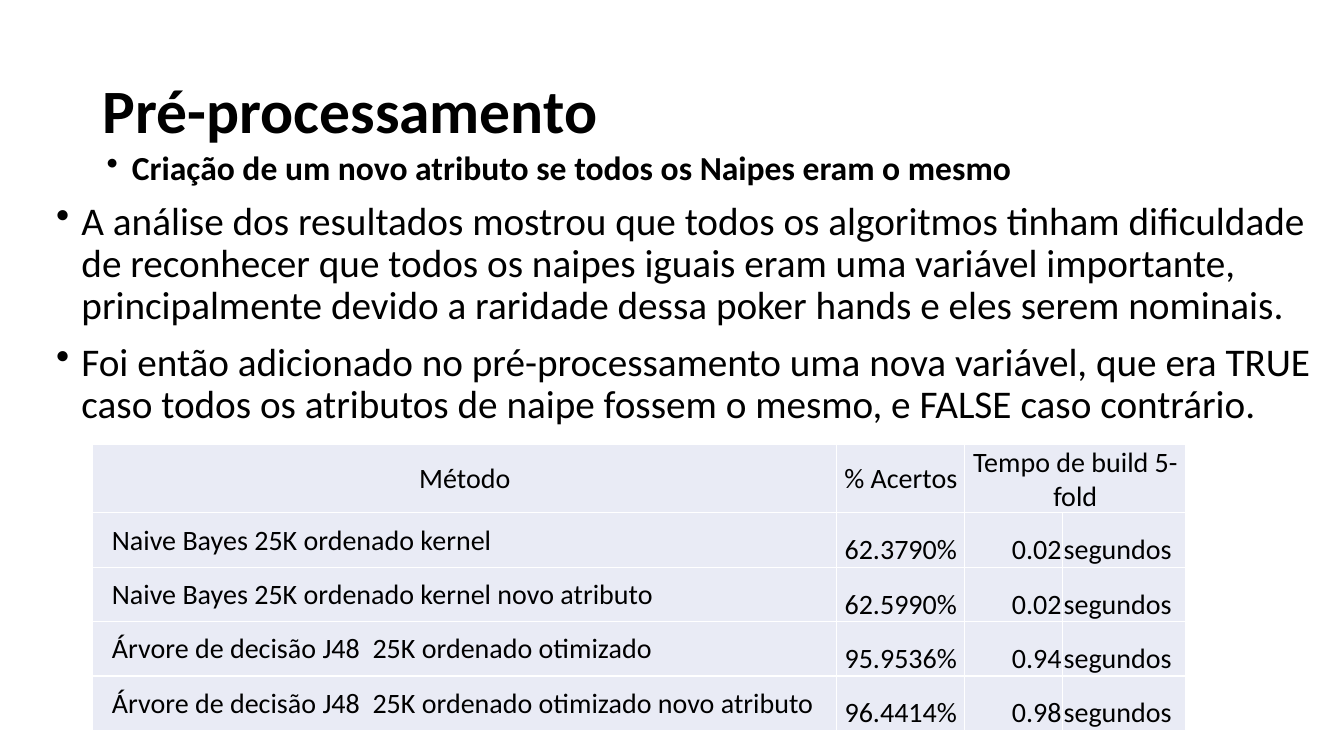
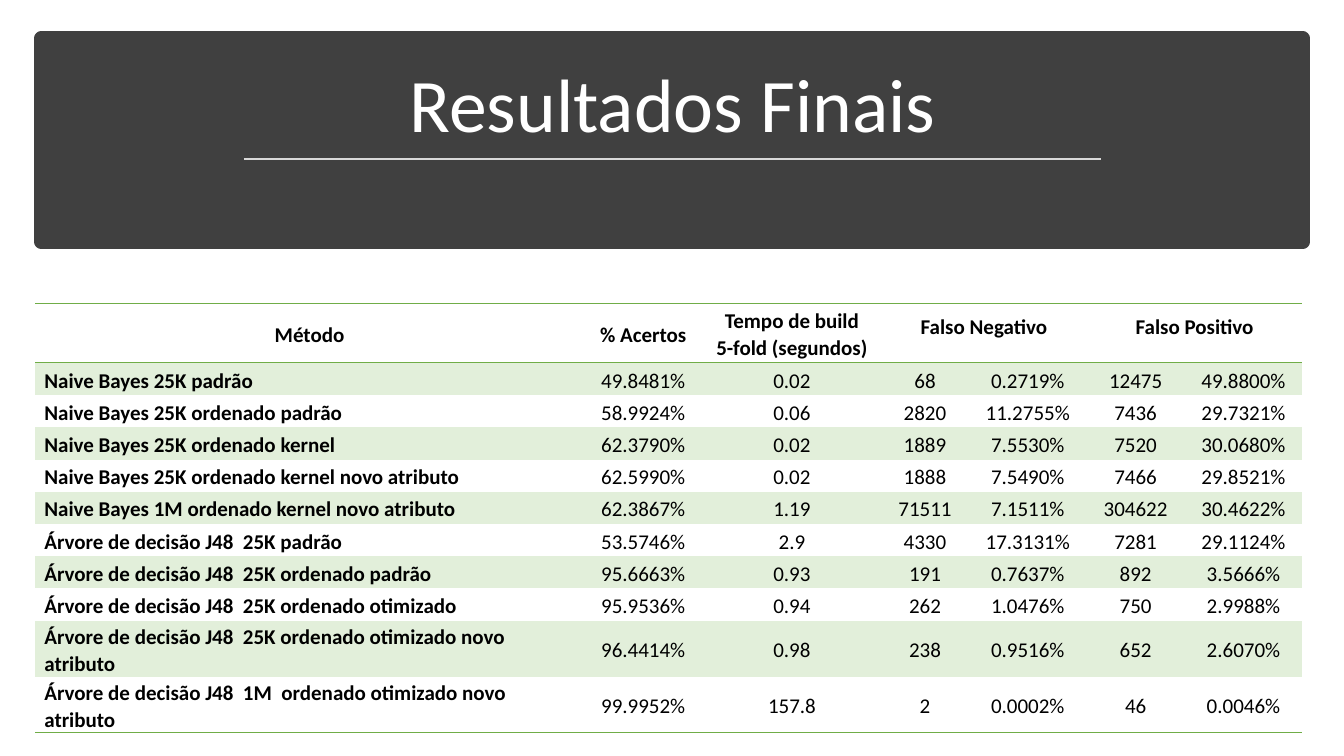
from lxml import etree
from pptx import Presentation
from pptx.dml.color import RGBColor
from pptx.enum.shapes import MSO_CONNECTOR, MSO_SHAPE
from pptx.enum.text import MSO_ANCHOR, PP_ALIGN
from pptx.oxml.ns import qn
from pptx.util import Inches, Pt

LEFT, CENTER, RIGHT = PP_ALIGN.LEFT, PP_ALIGN.CENTER, PP_ALIGN.RIGHT
TOP, MIDDLE, BOTTOM = MSO_ANCHOR.TOP, MSO_ANCHOR.MIDDLE, MSO_ANCHOR.BOTTOM
FONT = "Calibri"
BLACK, WHITE, CHARCOAL, SILVER = "000000", "FFFFFF", "404040", "D9D9D9"
LAVENDER, GREEN, PALE_GREEN = "E9EBF5", "70AD47", "E2EFDA"

PREPROCESSING_TITLE = "Pré-processamento"
BODY = [
    (1, 24, "Criação de um novo atributo se todos os Naipes eram o mesmo"),
    (0, 28, "A análise dos resultados mostrou que todos os algoritmos tinham "
            "dificuldade de reconhecer que todos os naipes iguais eram uma variável "
            "importante, principalmente devido a raridade dessa poker hands e eles "
            "serem nominais."),
    (0, 28, "Foi então adicionado no pré-processamento uma nova variável, que era "
            "TRUE caso todos os atributos de naipe fossem o mesmo, e FALSE caso "
            "contrário."),
]
COMPARISON_WIDTHS = [7.38, 1.27, 0.97, 1.22]
COMPARISON = [
    ("Método", "% Acertos", "Tempo de build 5-fold", ""),
    ("Naive Bayes 25K ordenado kernel", "62.3790%", "0.02", "segundos"),
    ("Naive Bayes 25K ordenado kernel novo atributo", "62.5990%", "0.02", "segundos"),
    ("Árvore de decisão J48  25K ordenado otimizado", "95.9536%", "0.94", "segundos"),
    ("Árvore de decisão J48  25K ordenado otimizado novo atributo", "96.4414%", "0.98",
     "segundos"),
]

RESULTS_TITLE = "Resultados Finais"
RESULTS_WIDTHS = [5.44, 1.18, 1.77, 0.87, 1.17, 0.97, 1.17]
RESULTS = [
    ("Método", "% Acertos", "Tempo de build\n5-fold (segundos)",
     "Falso Negativo", "", "Falso Positivo", ""),
    ("Naive Bayes 25K padrão",
     "49.8481%", "0.02", "68", "0.2719%", "12475", "49.8800%"),
    ("Naive Bayes 25K ordenado padrão",
     "58.9924%", "0.06", "2820", "11.2755%", "7436", "29.7321%"),
    ("Naive Bayes 25K ordenado kernel",
     "62.3790%", "0.02", "1889", "7.5530%", "7520", "30.0680%"),
    ("Naive Bayes 25K ordenado kernel novo atributo",
     "62.5990%", "0.02", "1888", "7.5490%", "7466", "29.8521%"),
    ("Naive Bayes 1M ordenado kernel novo atributo",
     "62.3867%", "1.19", "71511", "7.1511%", "304622", "30.4622%"),
    ("Árvore de decisão J48  25K padrão",
     "53.5746%", "2.9", "4330", "17.3131%", "7281", "29.1124%"),
    ("Árvore de decisão J48  25K ordenado padrão",
     "95.6663%", "0.93", "191", "0.7637%", "892", "3.5666%"),
    ("Árvore de decisão J48  25K ordenado otimizado",
     "95.9536%", "0.94", "262", "1.0476%", "750", "2.9988%"),
    ("Árvore de decisão J48  25K ordenado otimizado novo atributo",
     "96.4414%", "0.98", "238", "0.9516%", "652", "2.6070%"),
    ("Árvore de decisão J48  1M  ordenado otimizado novo atributo",
     "99.9952%", "157.8", "2", "0.0002%", "46", "0.0046%"),
]


def rgb(color):
    return RGBColor.from_string(color)


def format_paragraph(paragraph, size, color=BLACK, bold=False, align=LEFT, spacing=0.9):
    paragraph.alignment = align
    paragraph.line_spacing = spacing
    paragraph.font.name = FONT
    paragraph.font.size = Pt(size)
    paragraph.font.bold = bold
    paragraph.font.color.rgb = rgb(color)


def add_text_frame(slide, left, top, width, height, anchor=TOP):
    shape = slide.shapes.add_textbox(
        Inches(left), Inches(top), Inches(width), Inches(height))
    frame = shape.text_frame
    frame.word_wrap = True
    frame.vertical_anchor = anchor
    return frame


def add_title(slide, text, box, anchor, size, **style):
    frame = add_text_frame(slide, *box, anchor)
    frame.text = text
    format_paragraph(frame.paragraphs[0], size, **style)


def add_bullet(paragraph, level):
    properties = paragraph._p.get_or_add_pPr()
    properties.set("marL", str(Inches(0.25 + 0.5 * level)))
    properties.set("indent", str(Inches(-0.25)))
    etree.SubElement(properties, qn("a:buChar")).set("char", "•")


def set_borders(cell, colors):
    properties = cell._tc.get_or_add_tcPr()
    for index, side in enumerate("LRTB"):
        line = etree.Element(qn("a:ln" + side), w=str(Pt(1)))
        if side in colors:
            fill = etree.SubElement(line, qn("a:solidFill"))
            etree.SubElement(fill, qn("a:srgbClr")).set("val", colors[side])
        else:
            etree.SubElement(line, qn("a:noFill"))
        properties.insert(index, line)


def add_table(slide, rows, left, top, widths, heights, merges):
    table = slide.shapes.add_table(
        len(rows), len(widths), Inches(left), Inches(top),
        Inches(sum(widths)), Inches(sum(heights))).table
    table.first_row = table.horz_banding = False
    for column, width in zip(table.columns, widths):
        column.width = Inches(width)
    for row, height in zip(table.rows, heights):
        row.height = Inches(height)
    for first in merges:
        table.cell(0, first).merge(table.cell(0, first + 1))
    return table


def fill_cell(cell, text, size, margins, anchor, fill, borders, **style):
    set_borders(cell, borders)
    if fill:
        cell.fill.solid()
        cell.fill.fore_color.rgb = rgb(fill)
    else:
        cell.fill.background()
    cell.margin_left, cell.margin_top, cell.margin_right, cell.margin_bottom = map(
        Inches, margins)
    cell.vertical_anchor = anchor
    cell.text_frame.text = text
    for paragraph in cell.text_frame.paragraphs:
        format_paragraph(paragraph, size, **style)


def build_preprocessing(slide):
    add_title(slide, PREPROCESSING_TITLE, (0.92, 0.4, 11.5, 1.45), MIDDLE, 44, bold=True)

    frame = add_text_frame(slide, 0.46, 1.45, 12.66, 5.65)
    for index, (level, size, text) in enumerate(BODY):
        paragraph = frame.add_paragraph() if index else frame.paragraphs[0]
        paragraph.text = text
        paragraph.level = level
        paragraph.space_before = Pt(5 if level else 10)
        add_bullet(paragraph, level)
        format_paragraph(paragraph, size, bold=level == 1)

    table = add_table(slide, COMPARISON, 0.92, 4.41, COMPARISON_WIDTHS,
                      [0.54] * len(COMPARISON), [2])
    aligns = [LEFT, CENTER, RIGHT, LEFT]
    for row, values in enumerate(COMPARISON):
        for column, text in enumerate(values):
            header, name = row == 0, column == 0
            fill_cell(table.cell(row, column), text, 20,
                      (0.19 if name and not header else 0.01, 0.01, 0.01, 0),
                      MIDDLE if header or name else BOTTOM, LAVENDER,
                      dict.fromkeys("LRTB", WHITE),
                      align=CENTER if header else aligns[column], spacing=1.0)


def build_results(slide):
    band = slide.shapes.add_shape(
        MSO_SHAPE.RECTANGLE, Inches(0.41), Inches(0.38), Inches(12.51), Inches(2.02))
    band.shadow.inherit = False
    band.fill.solid()
    band.fill.fore_color.rgb = rgb(CHARCOAL)
    band.line.color.rgb = rgb(CHARCOAL)
    band.line.width = Pt(10)

    add_title(slide, RESULTS_TITLE, (0.58, 0.51, 12.18, 1.02), BOTTOM, 54,
              color=WHITE, align=CENTER)

    rule = slide.shapes.add_connector(
        MSO_CONNECTOR.STRAIGHT, Inches(2.42), Inches(1.58), Inches(10.92), Inches(1.58))
    rule.line.color.rgb = rgb(SILVER)
    rule.line.width = Pt(1.75)
    etree.SubElement(rule._element.spPr, qn("a:effectLst"))

    last = len(RESULTS) - 1
    table = add_table(slide, RESULTS, 0.35, 3.01, RESULTS_WIDTHS,
                      [0.59] + [0.32] * last, [3, 5])
    edges = {0: "TB", 1: "T", last: "B"}
    for row, values in enumerate(RESULTS):
        for column, text in enumerate(values):
            header, name = row == 0, column == 0
            group = header and column > 2
            fill_cell(table.cell(row, column), text, 15,
                      (0.18, 0.09, 0.18, 0.09) if group else (0.09, 0.02, 0.09, 0),
                      TOP if group else MIDDLE, PALE_GREEN if row % 2 else None,
                      dict.fromkeys(edges.get(row, ""), GREEN),
                      bold=header or name,
                      align=LEFT if name and not header else CENTER, spacing=1.07)


presentation = Presentation()
presentation.slide_width, presentation.slide_height = Inches(13.33), Inches(7.5)
for build in (build_preprocessing, build_results):
    build(presentation.slides.add_slide(presentation.slide_layouts[6]))
presentation.save("out.pptx")
